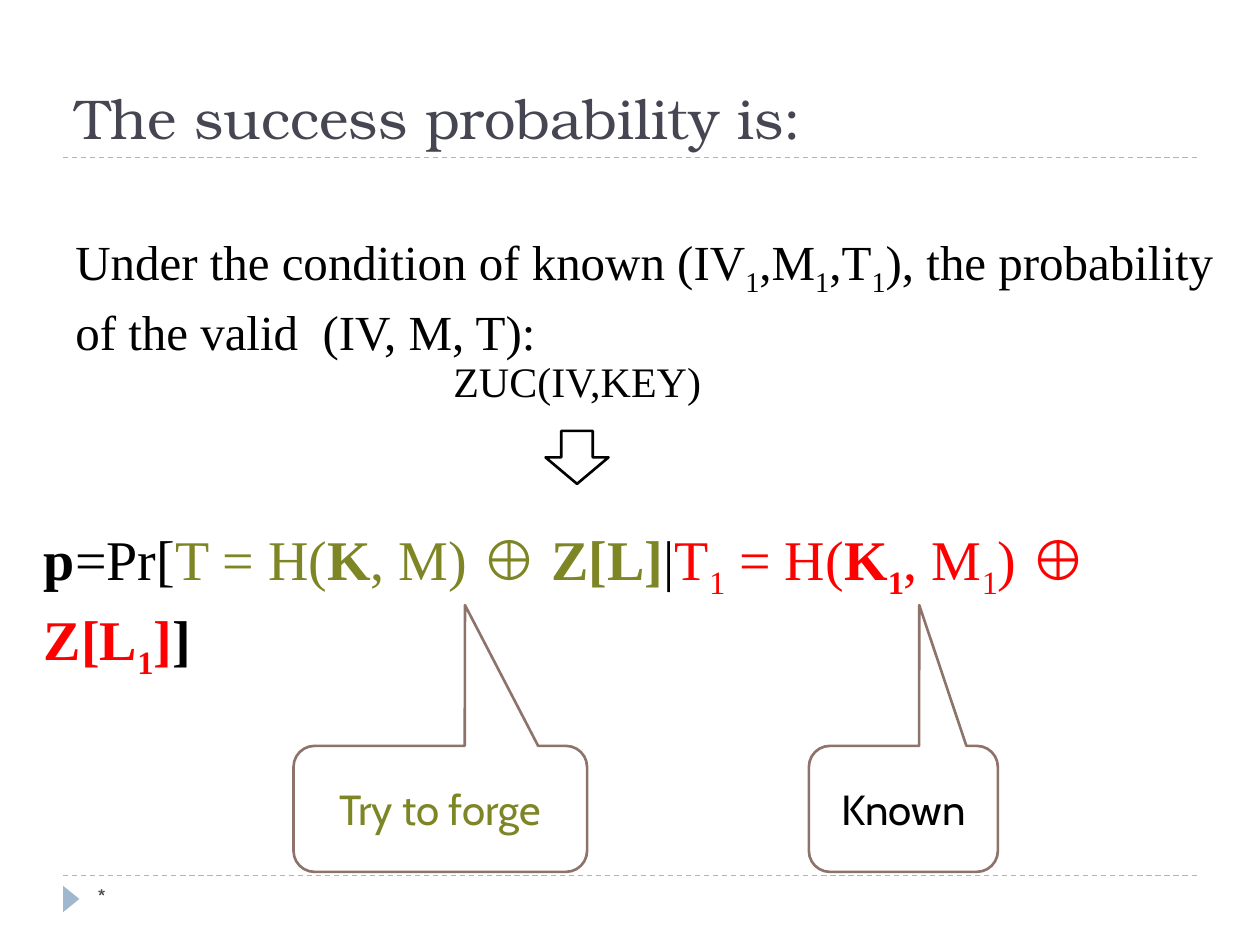
from dataclasses import dataclass

from pptx import Presentation
from pptx import util as u
from pptx.dml.color import RGBColor
from pptx.enum import dml, shapes, text
from pptx.oxml.ns import qn


@dataclass(frozen=True)
class Theme:
    slate = RGBColor.from_string("464653")
    blue = RGBColor.from_string("9FB8CD")
    brown = RGBColor.from_string("8E736A")
    olive = RGBColor.from_string("7D8525")
    red = RGBColor.from_string("FF0000")
    black = RGBColor.from_string("000000")
    white = RGBColor.from_string("FFFFFF")
    title_font = "TeX Gyre Bonum"
    math_font = "Times New Roman"
    label_font = "Cabin"
    footer_font = "Comic Neue"
    large = u.Pt(32)
    medium = u.Pt(28)
    small = u.Pt(24)
    tiny = u.Pt(14)


theme = Theme()

presentation = Presentation()
presentation.slide_width, presentation.slide_height = u.Inches(10), u.Inches(7.5)
slide = presentation.slides.add_slide(presentation.slide_layouts[5])


def write(shape, runs, font, size, color, align=text.PP_ALIGN.LEFT):
    """Fill a shape with runs of (text, style): b is bold, s is subscript."""
    frame = shape.text_frame
    frame.word_wrap = True
    paragraph = frame.paragraphs[0]
    paragraph.alignment = align
    paragraph.font.name, paragraph.font.size = font, size
    paragraph.font.color.rgb = color
    for words, style, *run_color in runs:
        run = paragraph.add_run()
        run.text = words
        if "b" in style:
            run.font.bold = True
        if "s" in style:
            run._r.get_or_add_rPr().set("baseline", "-25000")
        if run_color:
            run.font.color.rgb = run_color[0]
    return paragraph


def add_preset(kind, left, top, width, height, fill, line=None):
    shape = slide.shapes.add_shape(
        kind, u.Inches(left), u.Inches(top), u.Inches(width), u.Inches(height))
    shape.shadow.inherit = False
    shape.fill.solid()
    shape.fill.fore_color.rgb = fill
    if line is None:
        shape.line.fill.background()
    else:
        shape.line.color.rgb = line
        shape.line.width = u.Pt(1.5)
    return shape


# Dashed rules and footer marker
for y in (6.95, 1.25):
    rule = slide.shapes.add_connector(
        shapes.MSO_CONNECTOR.STRAIGHT,
        u.Inches(0.5), u.Inches(y), u.Inches(9.5), u.Inches(y))
    rule.line.color.rgb = theme.blue
    rule.line.width = u.Pt(0.75)
    rule.line.dash_style = dml.MSO_LINE.DASH
    properties = rule._element.spPr
    properties.append(properties.makeelement(qn("a:effectLst"), {}))

marker = add_preset(shapes.MSO_SHAPE.ISOSCELES_TRIANGLE,
                    0.46, 7.07, 0.21, 0.13, theme.blue)
marker.rotation = 90

# Title
title = slide.shapes.title
title.left, title.top = u.Inches(0.5), u.Inches(0.25)
title.width, title.height = u.Inches(9), u.Inches(1)
title.text_frame.vertical_anchor = text.MSO_ANCHOR.BOTTOM
title.text_frame.auto_size = text.MSO_AUTO_SIZE.NONE
write(title, [("The success probability is:", "")],
      theme.title_font, theme.large, theme.slate)

# Probability formula, forged part in olive and known part in red
olive, red = theme.olive, theme.red
formula = [
    ("p", "b"), ("=Pr[", ""),
    ("T = H(", "", olive), ("K", "b", olive), (", M) ⊕ ", "", olive),
    ("Z[L]", "b", olive), ("|", ""),
    ("T", "", red), ("1", "s", red), (" = H(", "", red),
    ("K", "b", red), ("1", "bs", red), (", M", "", red), ("1", "s", red),
    (") ⊕ ", "", red), ("Z[L", "b", red), ("1", "bs", red), ("]", "b", red),
    ("]", "b"),
]
condition = [
    ("Under the condition of known (IV", ""), ("1", "s"), (",M", ""), ("1", "s"),
    (",T", ""), ("1", "s"), ("), the probability of the valid  (IV, M, T):", ""),
]

# Condition, cipher call and formula
for left, top, width, height, runs, size in (
    (0.5, 1.76, 9.33, 1.1, condition, theme.medium),
    (3.5, 2.75, 2.5, 0.5, [("ZUC(IV,KEY)", "")], theme.small),
    (0.25, 4.08, 9.75, 0.71, formula, theme.large),
):
    box = slide.shapes.add_textbox(
        u.Inches(left), u.Inches(top), u.Inches(width), u.Inches(height))
    paragraph = write(box, runs, theme.math_font, size, theme.black)
    paragraph.line_spacing = 1.05
    box.text_frame.auto_size = text.MSO_AUTO_SIZE.SHAPE_TO_FIT_TEXT

# Arrow from the cipher call to the formula
add_preset(shapes.MSO_SHAPE.DOWN_ARROW, 4.33, 3.42, 0.5, 0.42,
           theme.white, theme.black)

# Callouts under the two halves of the formula
for left, width, label, color in (
    (6.42, 1.5, "Known", theme.black),
    (2.33, 2.33, "Try to forge", theme.olive),
):
    callout = add_preset(shapes.MSO_SHAPE.ROUNDED_RECTANGULAR_CALLOUT,
                         left, 5.92, width, 1, theme.white, theme.brown)
    callout.adjustments[0] = 0.084
    callout.adjustments[1] = -1.618
    callout.text_frame.vertical_anchor = text.MSO_ANCHOR.MIDDLE
    write(callout, [(label, "")], theme.label_font, theme.small, color,
          text.PP_ALIGN.CENTER)

# Footer
footer = slide.shapes.add_textbox(
    u.Inches(0.67), u.Inches(6.95), u.Inches(2.17), u.Inches(0.4))
write(footer, [("*", "")], theme.footer_font, theme.tiny, theme.slate)

presentation.save("out.pptx")
